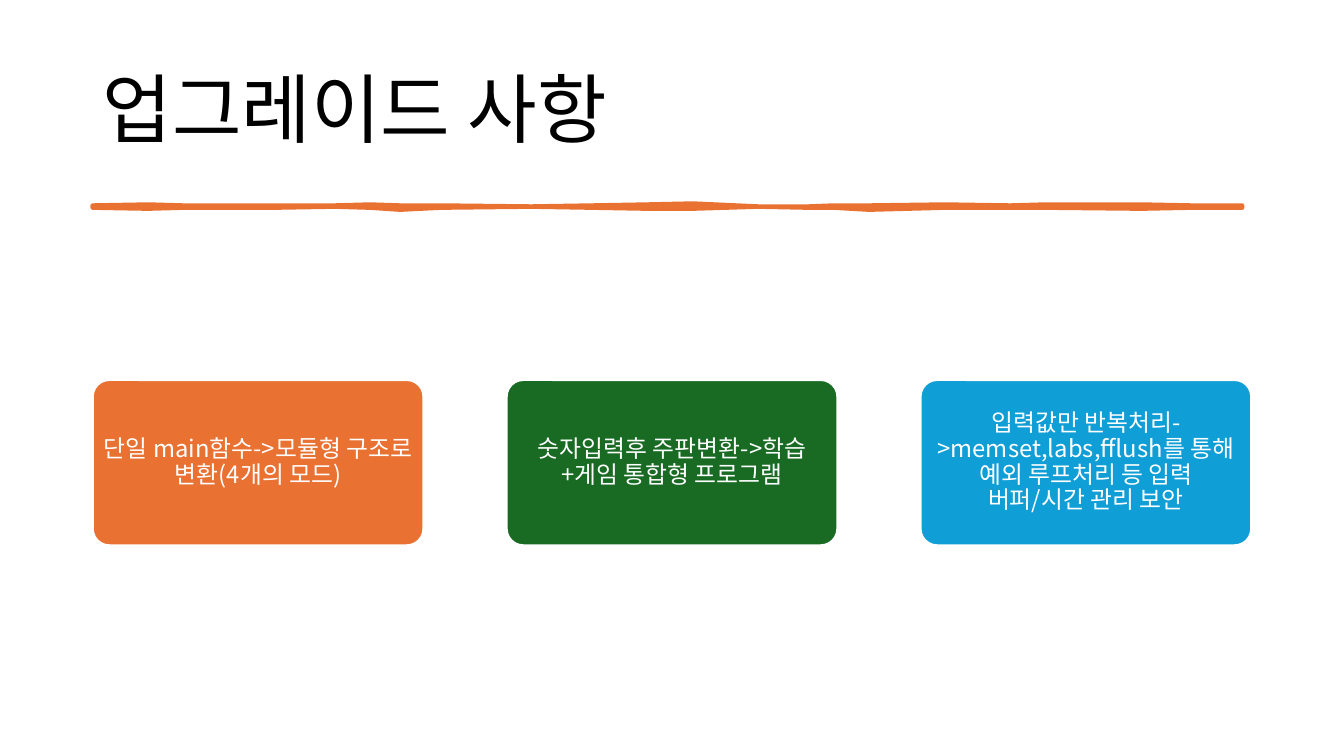
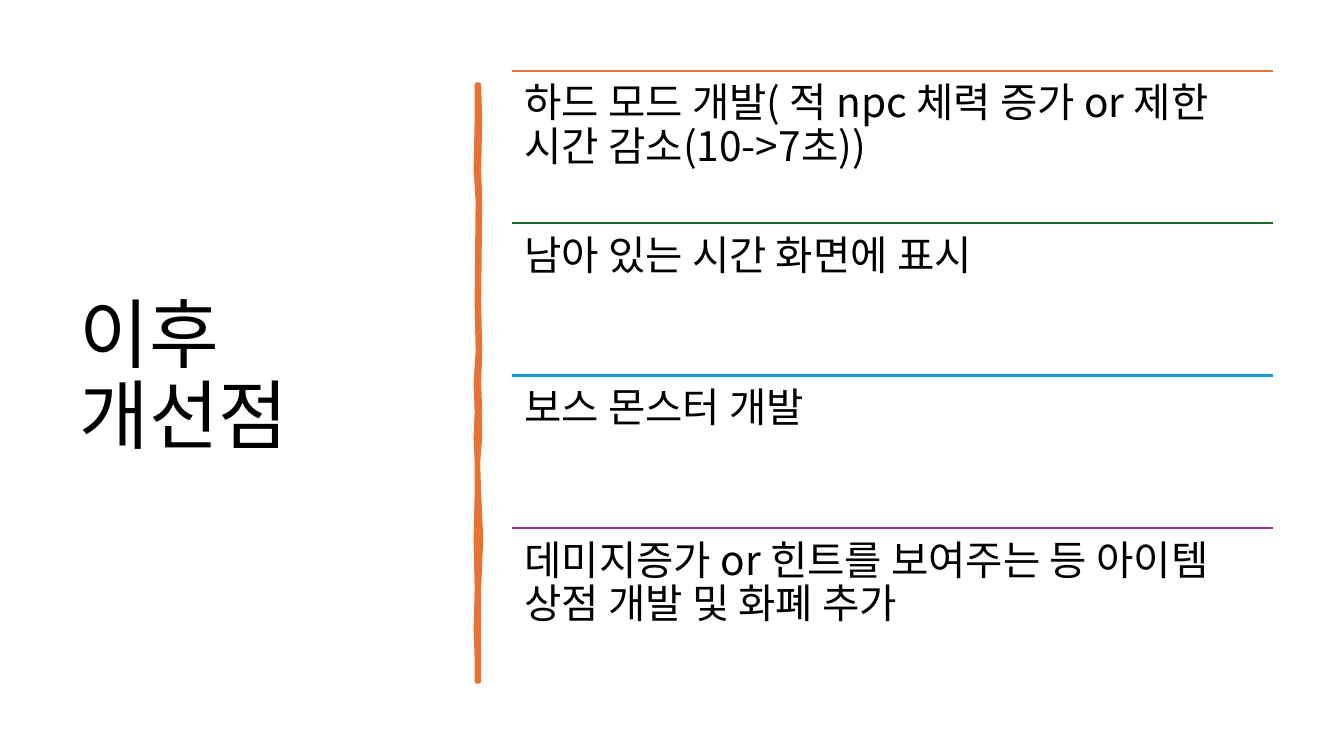
from lxml import etree
from pptx import Presentation
from pptx import util as u
from pptx.dml.color import RGBColor
from pptx.enum import shapes, text
from pptx.oxml import ns

FONT = "Noto Sans CJK KR"
HUES = {"orange": "E97132", "green": "196B24", "blue": "0F9ED5",
        "purple": "A02B93", "black": "000000", "white": "FFFFFF"}
RGB = {name: RGBColor.from_string(code) for name, code in HUES.items()}
I = u.Inches

deck = Presentation()
deck.slide_width, deck.slide_height = I(13.33), I(7.5)
blank = deck.slide_layouts[6]


def write(shape, lines, size, hue, inset, anchor, align=text.PP_ALIGN.LEFT):
    """Fill a shape with one paragraph; lines are parted by line breaks."""
    frame = shape.text_frame
    frame.word_wrap = True
    frame.vertical_anchor = anchor
    frame.margin_left = frame.margin_right = I(inset[0])
    frame.margin_top = frame.margin_bottom = I(inset[1])
    para = frame.paragraphs[0]
    para.alignment = align
    para.line_spacing = 0.9
    for n, line in enumerate(lines):
        if n:
            para.add_line_break()
        run = para.add_run()
        run.text = line
        run.font.size = u.Pt(size)
        run.font.name = FONT
        run.font.color.rgb = RGB[hue]
        east = etree.SubElement(run.font._element, ns.qn("a:ea"))
        east.set("typeface", FONT)


def stroke(slide, left, top, nodes, upright=False):
    """Draw a rough brush line; a node is (distance, one side, other side)."""
    edge = [(d, -a) for d, a, b in nodes] + [(d, b) for d, a, b in nodes[::-1]]
    spots = [(left + o, top + d) if upright else (left + d, top + o)
             for d, o in edge]
    spots = [(I(x), I(y)) for x, y in spots]
    pen = slide.shapes.build_freeform(*spots[0])
    pen.add_line_segments(spots[1:], close=True)
    brush = pen.convert_to_shape()
    brush.shadow.inherit = False
    brush.fill.solid()
    brush.fill.fore_color.rgb = RGB["orange"]
    brush.line.color.rgb = RGB["orange"]
    brush.line.width = u.Pt(3.25)
    etree.SubElement(brush.line._get_or_add_ln(), ns.qn("a:round"))


# Titles and brush lines of both slides
flat = [(0, .01, .01), (.55, .02, .02), (.9, .01, .01), (1.45, .01, .01),
        (1.8, .01, .01), (2.4, .01, 0), (2.75, .02, .01), (3.05, .01, .03),
        (3.45, .01, .01), (4.35, 0, 0), (4.95, .01, .01), (5.5, .02, .02),
        (5.95, .03, .02), (6.6, 0, 0), (7.1, 0, .01), (7.35, .01, .01),
        (7.7, .01, .03), (8.45, .02, .01), (9.1, .01, .01), (9.45, .02, .01),
        (10.4, .02, .02), (10.9, .01, .01), (11.4, .01, .01)]
tall = [(0, .01, .01), (.35, .01, .02), (.85, .02, .01), (1.15, 0, .02),
        (2.15, .01, .01), (2.65, 0, .02), (2.95, .02, .01), (3.25, .01, .02),
        (3.5, .02, .02), (3.75, .01, 0), (4.05, .01, .01), (4.5, .02, .03),
        (5, .01, .01), (5.4, .02, .01), (5.7, .01, .01), (5.92, .01, .01)]
heads = [(["업그레이드 사항"], (.92, .4, 11.5, 1.45), (.92, 2.05, flat, False)),
         (["이후 ", "개선점"], (.69, .7, 3.74, 6.11), (4.74, .84, tall, True))]
pages = []
for lines, area, line in heads:
    page = deck.slides.add_slide(blank)
    title = page.shapes.add_textbox(*map(I, area))
    write(title, lines, 54, "black", (.1, .05), text.MSO_ANCHOR.MIDDLE)
    stroke(page, *line)
    pages.append(page)
first, second = pages

# Slide 1: three cards
cards = [("orange", "단일 main함수->모듈형 구조로 변환(4개의 모드)"),
         ("green", "숫자입력후 주판변환->학습+게임 통합형 프로그램"),
         ("blue", "입력값만 반복처리->memset,labs,fflush를 통해 "
                  "예외 루프처리 등 입력 버퍼/시간 관리 보안")]
for n, (hue, words) in enumerate(cards):
    card = first.shapes.add_shape(
        shapes.MSO_SHAPE.ROUNDED_RECTANGLE,
        I(.92 + n * 4.105), I(3.77), I(3.28), I(1.64))
    card.adjustments[0] = .1
    card.shadow.inherit = False
    card.fill.solid()
    card.fill.fore_color.rgb = RGB[hue]
    card.line.color.rgb = RGB["white"]
    card.line.width = u.Pt(1.5)
    write(card, [words], 17, "white", (.04, .02),
          text.MSO_ANCHOR.MIDDLE, text.PP_ALIGN.CENTER)

# Slide 2: ruled list
items = [("orange", "하드 모드 개발( 적 npc 체력 증가 or 제한 시간 감소(10->7초))"),
         ("green", "남아 있는 시간 화면에 표시"),
         ("blue", "보스 몬스터 개발"),
         ("purple", "데미지증가 or 힌트를 보여주는 등 아이템 상점 개발 및 화폐 추가")]
left, wide, step = 5.08, 7.55, 6.05 / 4
for n, (hue, words) in enumerate(items):
    top = .7 + n * step
    rule = second.shapes.add_connector(
        shapes.MSO_CONNECTOR.STRAIGHT, I(left), I(top), I(left + wide), I(top))
    rule.line.color.rgb = RGB[hue]
    rule.line.width = u.Pt(1.5)
    etree.SubElement(rule._element.spPr, ns.qn("a:effectLst"))
    item = second.shapes.add_textbox(I(left), I(top), I(wide), I(step))
    write(item, [words], 29, "black", (.12, .12), text.MSO_ANCHOR.TOP)

deck.save("out.pptx")
